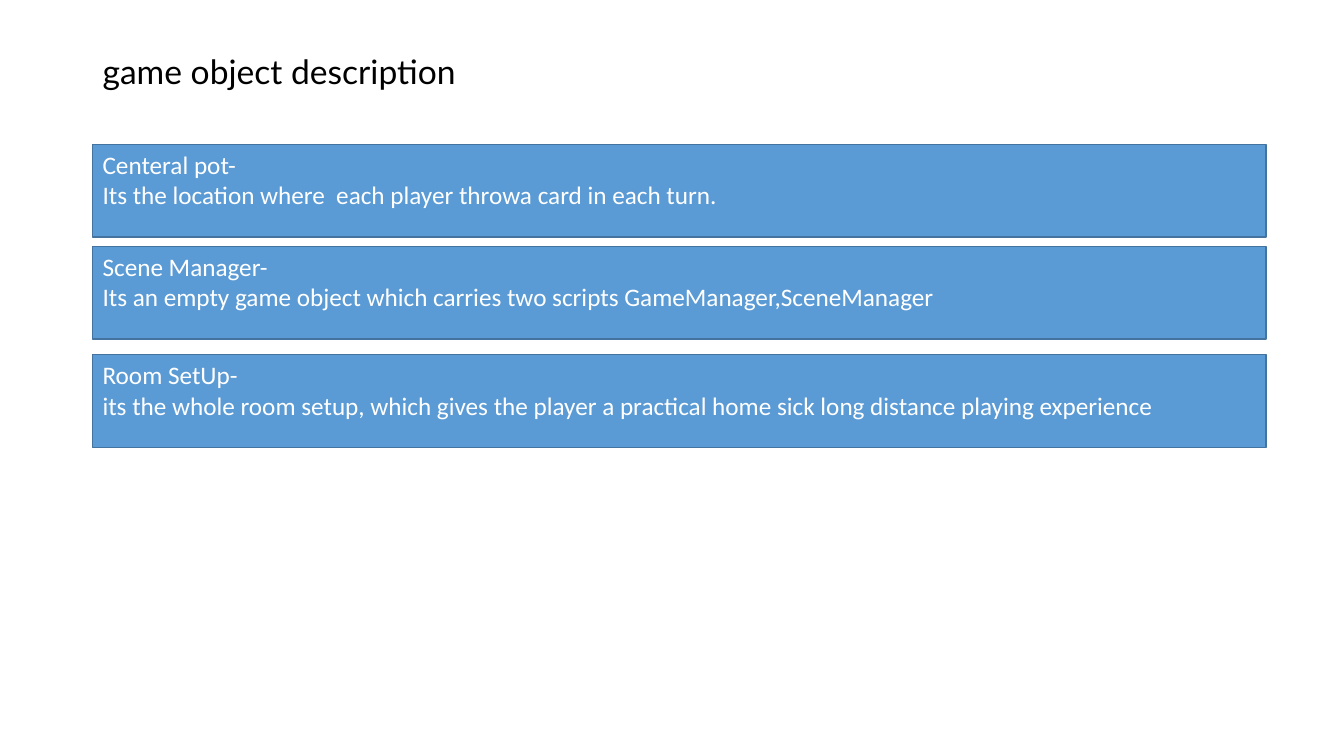
import pptx
import pptx.dml.color
import pptx.enum.shapes
import pptx.enum.text
import pptx.util

Pt = pptx.util.Pt
RGBColor = pptx.dml.color.RGBColor
ANCHOR = pptx.enum.text.MSO_ANCHOR

BLACK = RGBColor(0x00, 0x00, 0x00)
WHITE = RGBColor(0xFF, 0xFF, 0xFF)
BLUE = RGBColor(0x5B, 0x9B, 0xD5)
DARK_BLUE = RGBColor(0x43, 0x73, 0x9E)

LEFT = 66.2
CARD_WIDTH = 838
CARD_HEIGHT = 66.2

# Top of each card, its heading and its description
CARDS = [
    (103, "Centeral pot-",
     "Its the location where  each player throwa card in each turn."),
    (175.9, "Scene Manager-",
     "Its an empty game object which carries two scripts GameManager,SceneManager"),
    (253.4, "Room SetUp-",
     "its the whole room setup, which gives the player a practical home sick "
     "long distance playing experience"),
]


def add_span(para, text, font, size, color):
    para.alignment = pptx.enum.text.PP_ALIGN.LEFT
    span = para.add_run()
    span.text = text
    span.font.name = font
    span.font.size = Pt(size)
    span.font.color.rgb = color


def add_title(page, text):
    box = page.shapes.add_textbox(Pt(LEFT), Pt(28.8), Pt(407.5), Pt(46.8))
    frame = box.text_frame
    frame.word_wrap = True
    frame.vertical_anchor = ANCHOR.MIDDLE
    para = frame.paragraphs[0]
    para.line_spacing = 0.9
    add_span(para, text, "Lato", 24, BLACK)


def add_card(page, top, heading, description):
    box = page.shapes.add_shape(
        pptx.enum.shapes.MSO_SHAPE.RECTANGLE,
        Pt(LEFT), Pt(top), Pt(CARD_WIDTH), Pt(CARD_HEIGHT))
    box.shadow.inherit = False
    box.fill.solid()
    box.fill.fore_color.rgb = BLUE
    box.line.color.rgb = DARK_BLUE
    box.line.width = Pt(1)
    frame = box.text_frame
    frame.word_wrap = True
    frame.vertical_anchor = ANCHOR.TOP
    add_span(frame.paragraphs[0], heading, "Calibri", 18, WHITE)
    add_span(frame.add_paragraph(), description, "Calibri", 18, WHITE)


def main():
    deck = pptx.Presentation()
    deck.slide_width = Pt(960)
    deck.slide_height = Pt(540)
    page = deck.slides.add_slide(deck.slide_layouts[6])

    # Heading
    add_title(page, "game object description")

    # Description cards
    for top, heading, description in CARDS:
        add_card(page, top, heading, description)

    deck.save("out.pptx")


main()
